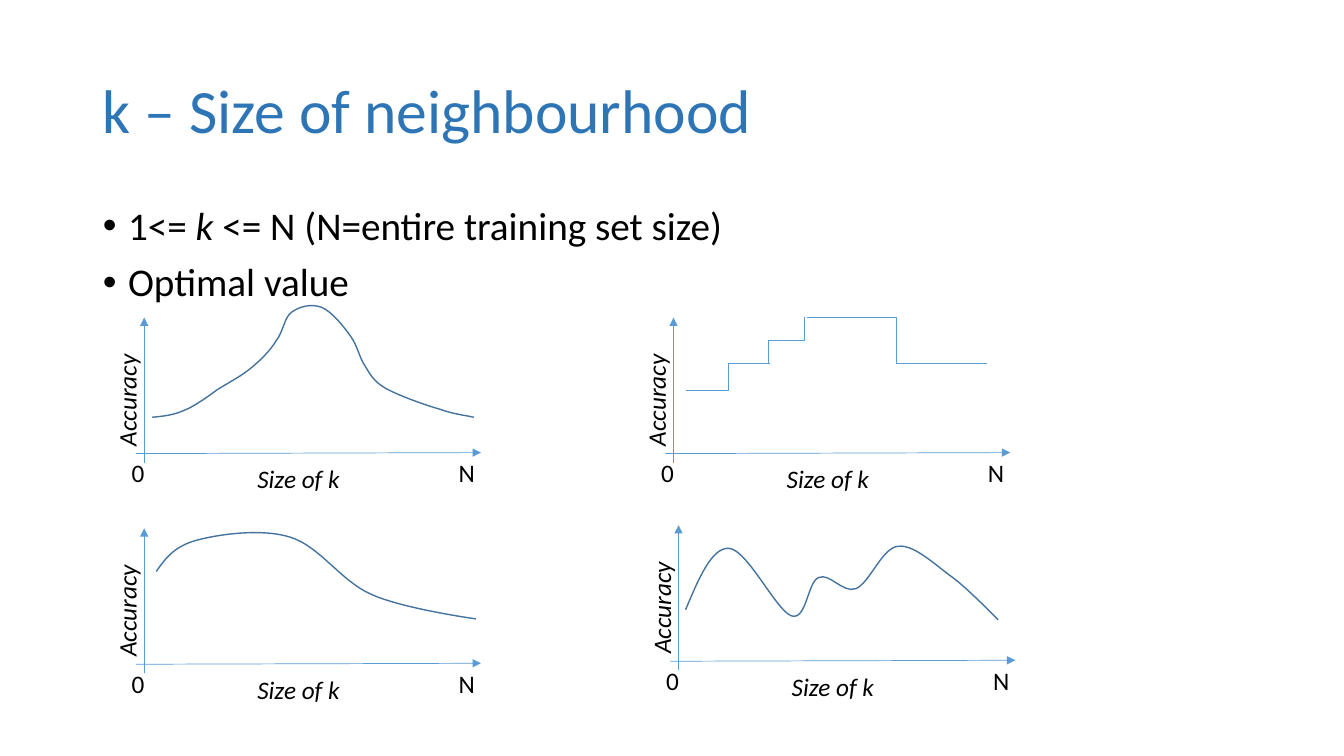
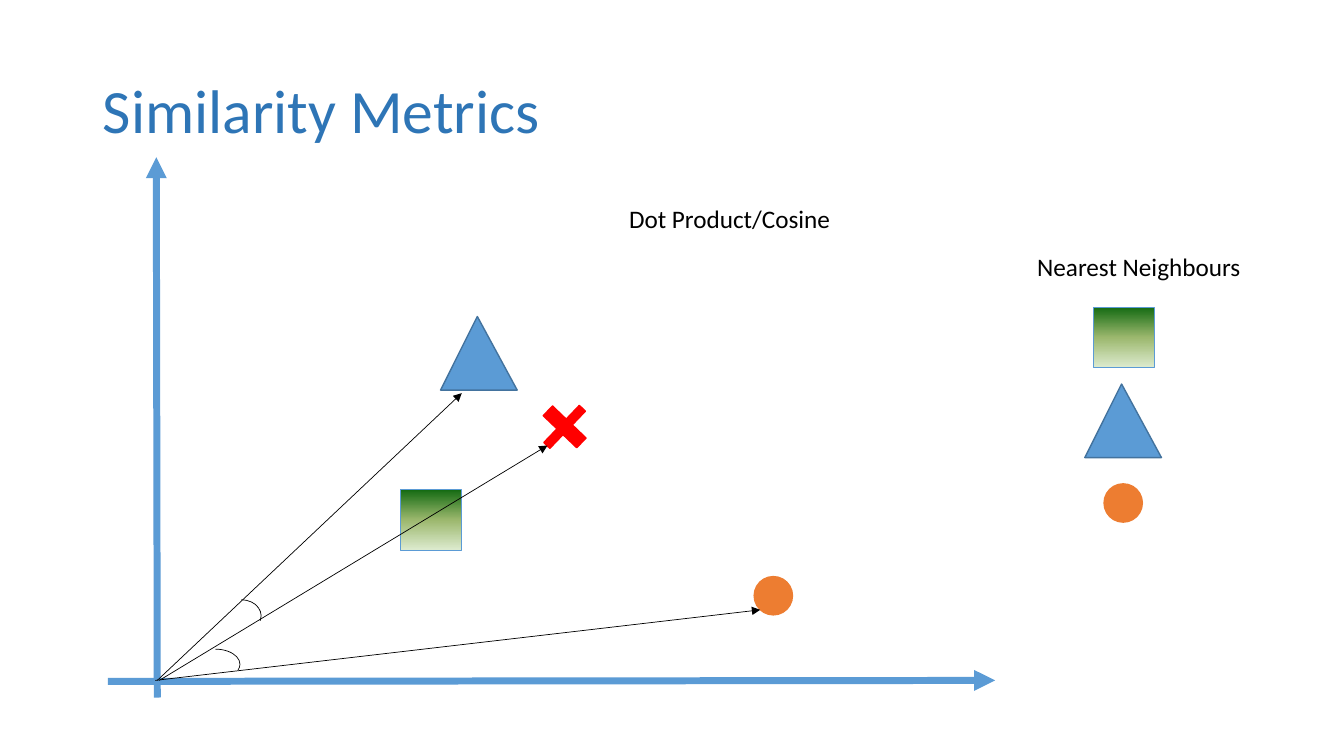
from copy import deepcopy

from lxml import etree
from pptx import Presentation
from pptx.dml.color import RGBColor
from pptx.enum.shapes import MSO_CONNECTOR, MSO_SHAPE
from pptx.enum.text import MSO_ANCHOR, PP_ALIGN
from pptx.oxml.ns import qn
from pptx.util import Pt

PX = 9144  # 100 px to the inch
FONT = "Calibri"
COLORS = {
    "title": "2E75B6", "text": "000000", "blue": "5B9BD5", "outline": "43739E",
    "orange": "ED7D31", "red": "FF0000",
    "pale": "DDEBCF", "olive": "9CB86E", "green": "156B13",
}
RGB = {name: RGBColor.from_string(value) for name, value in COLORS.items()}
STRAIGHT, ELBOW = MSO_CONNECTOR.STRAIGHT, MSO_CONNECTOR.ELBOW
TRIANGLE, RECT, OVAL = MSO_SHAPE.ISOSCELES_TRIANGLE, MSO_SHAPE.RECTANGLE, MSO_SHAPE.OVAL
CROSS, ARC = MSO_SHAPE.CROSS, MSO_SHAPE.ARC
LEFT, CENTER = PP_ALIGN.LEFT, PP_ALIGN.CENTER


def add_line(shapes, ends, color="blue", width=0.5, kind=STRAIGHT, arrow=True):
    c = shapes.add_connector(kind, *(v * PX for v in ends))
    c.line.color.rgb = RGB[color]
    c.line.width = Pt(width)
    spPr = c._element.spPr
    if arrow:
        etree.SubElement(spPr.find(qn("a:ln")), qn("a:tailEnd"), type="triangle")
    etree.SubElement(spPr, qn("a:effectLst"))
    return c


def add_label(shapes, text, x, y, w, align=CENTER, italic=False, rotation=0):
    sp = shapes.add_textbox(x * PX, y * PX, w * PX, 30 * PX)
    sp.rotation = rotation
    tf = sp.text_frame
    tf.word_wrap = True
    tf.margin_left = tf.margin_right = tf.margin_top = tf.margin_bottom = 0
    p = tf.paragraphs[0]
    p.alignment = align
    r = p.add_run()
    r.text = text
    r.font.name, r.font.size, r.font.italic = FONT, Pt(18), italic
    r.font.color.rgb = RGB["text"]


prs = Presentation()
prs.slide_width, prs.slide_height = 1333 * PX, 750 * PX

# Slides and titles
slides = []
for layout, title in ((1, "k – Size of neighbourhood"), (5, "Similarity Metrics")):
    s = prs.slides.add_slide(prs.slide_layouts[layout])
    sp = s.shapes.title
    sp.left, sp.top, sp.width, sp.height = 92 * PX, 40 * PX, 1150 * PX, 145 * PX
    tf = sp.text_frame
    tf.vertical_anchor = MSO_ANCHOR.MIDDLE
    p = tf.paragraphs[0]
    p.alignment, p.line_spacing = LEFT, 0.9
    r = p.add_run()
    r.text = title
    r.font.name, r.font.size = FONT, Pt(44)
    r.font.color.rgb = RGB["title"]
    slides.append(s)
neighbourhood, metrics = slides

# Slide 1: bullets
sp = neighbourhood.placeholders[1]
sp.left, sp.top, sp.width, sp.height = 92 * PX, 200 * PX, 1150 * PX, 476 * PX
tf = sp.text_frame
bullets = [
    [("1<= ", False), ("k ", True), ("<= N (N=entire training set size)", False)],
    [("Optimal value", False)],
]
for i, runs in enumerate(bullets):
    p = tf.add_paragraph() if i else tf.paragraphs[0]
    p.line_spacing, p.space_before = 0.9, Pt(10 if i else 0)
    pPr = p._p.get_or_add_pPr()
    pPr.set("marL", str(25 * PX))
    pPr.set("indent", str(-25 * PX))
    etree.SubElement(pPr, qn("a:buChar"), char="•")
    for text, italic in runs:
        r = p.add_run()
        r.text = text
        r.font.name, r.font.size, r.font.italic = FONT, Pt(28), italic
        r.font.color.rgb = RGB["text"]

# Slide 1: four pairs of axes, each placed by its origin
for x, y in ((143, 450), (143, 659), (668, 450), (673, 656)):
    shapes = neighbourhood.shapes.add_group_shape().shapes
    add_line(shapes, (x, y + 9, x, y - 135))
    add_line(shapes, (x - 8, y, x + 334, y - 1))
    add_label(shapes, "0", x - 16, y + 4, 20)
    add_label(shapes, "N", x + 310, y + 4, 20)
    add_label(shapes, "Size of k", x + 59, y + 10, 188, italic=True)
    add_label(shapes, "Accuracy", x - 75, y - 68, 115, italic=True, rotation=270)

# Slide 1: stepped curve
for ends, rotation in (
    ((680, 387, 764, 361), 0),
    ((803, 355, 757, 320), 90),
    ((800, 315, 979, 361), 0),
):
    step = add_line(neighbourhood.shapes, ends, kind=ELBOW, arrow=False)
    step.rotation = rotation

# Slide 1: smooth curves, a start point and then three points per Bézier segment
curves = [
    [(155, 567), (164, 554), (173, 542), (195, 536), (217, 530), (260, 524), (288, 533),
     (317, 542), (338, 576), (367, 589), (396, 603), (465, 613), (472, 614)],
    [(680, 605), (693, 574), (706, 543), (723, 544), (741, 545), (770, 606), (785, 611),
     (800, 616), (801, 577), (812, 573), (823, 568), (836, 589), (849, 584),
     (863, 578), (875, 543), (891, 542), (907, 540), (928, 561), (945, 573),
     (961, 585), (990, 615), (990, 615)],
    [(151, 414), (162, 413), (172, 412), (183, 407), (194, 403), (215, 387), (215, 387),
     (226, 380), (238, 374), (248, 366), (258, 358), (268, 348), (274, 338),
     (281, 329), (282, 315), (289, 310), (297, 304), (309, 301), (319, 305),
     (329, 309), (341, 324), (348, 334), (355, 344), (356, 354), (362, 363),
     (367, 371), (370, 378), (382, 385), (394, 392), (422, 402), (436, 406),
     (450, 411), (461, 412), (470, 414)],
]
for start, *points in curves:
    builder = neighbourhood.shapes.build_freeform(*start, scale=PX)
    builder.add_line_segments(points, close=False)
    sp = builder.convert_to_shape()
    sp.shadow.inherit = False
    sp.fill.background()
    sp.line.color.rgb = RGB["outline"]
    sp.line.width = Pt(1)
    outline = sp._element.spPr.find(".//" + qn("a:path"))
    segments = outline.findall(qn("a:lnTo"))
    for i in range(0, len(segments), 3):
        bezier = etree.SubElement(outline, qn("a:cubicBezTo"))
        for segment in segments[i:i + 3]:
            bezier.append(segment[0])
            outline.remove(segment)

# Slide 2: axes
for ends in ((156, 692, 155, 156), (107, 676, 987, 675)):
    add_line(metrics.shapes, ends, width=5)

# Slide 2: data points, legend and angle arcs
GRADIENT = ("pale", "olive", "green")
triangle = (TRIANGLE, 76, 73, {0: 0.48}, "blue", "outline", 1, 0)
square = (RECT, 61, 60, {}, GRADIENT, "blue", 0.5, 0)
circle = (OVAL, 38, 38, {}, "orange", "orange", 1, 0)
query = (CROSS, 46, 51, {0: 0.41}, "red", "red", 1, 43.7)
wide_arc = (ARC, 49, 30, {1: 8.71}, None, "text", 0.5, 0)
tall_arc = (ARC, 39, 32, {1: 8.71}, None, "text", 0.5, 0)
for marker, x, y in (
    (triangle, 437, 314), (square, 397, 486), (circle, 748, 572), (query, 537, 398),
    (square, 1084, 305), (triangle, 1076, 381), (circle, 1095, 480),
    (wide_arc, 189, 644), (tall_arc, 220, 595),
):
    kind, w, h, adjustments, fill, line, width, rotation = marker
    sp = metrics.shapes.add_shape(kind, x * PX, y * PX, w * PX, h * PX)
    sp.shadow.inherit = False
    sp.rotation = rotation
    for i, value in adjustments.items():
        sp.adjustments[i] = value
    if fill is None:
        sp.fill.background()
    elif fill is GRADIENT:
        sp.fill.gradient()
        sp.fill.gradient_angle = 90
        stops = sp._element.spPr.find(".//" + qn("a:gsLst"))
        stops.insert(1, deepcopy(stops[0]))
        for stop, color, position in zip(sp.fill.gradient_stops, GRADIENT, (0, 0.5, 1)):
            stop.color.rgb = RGB[color]
            stop.position = position
    else:
        sp.fill.solid()
        sp.fill.fore_color.rgb = RGB[fill]
    sp.line.color.rgb = RGB[line]
    sp.line.width = Pt(width)

# Slide 2: vectors and labels
for ends in ((156, 675, 458, 390), (158, 675, 543, 442), (154, 675, 754, 605)):
    add_line(metrics.shapes, ends, color="text")
add_label(metrics.shapes, "Dot Product/Cosine", 624, 202, 233, LEFT)
add_label(metrics.shapes, "Nearest Neighbours", 1002, 249, 255)

prs.save("out.pptx")
